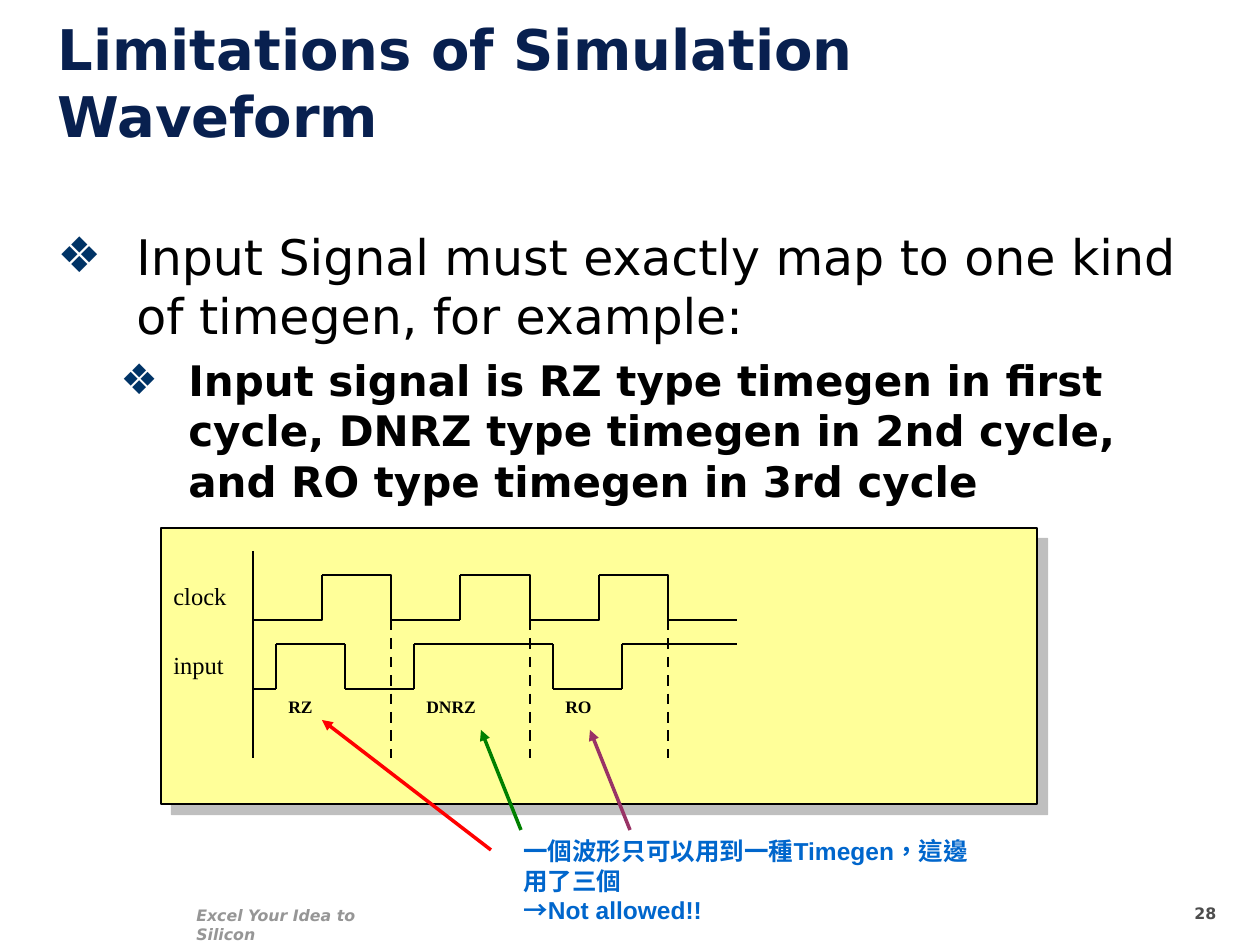
from dataclasses import dataclass
from itertools import pairwise
from typing import Optional

from lxml.etree import SubElement
from pptx import Presentation
from pptx.dml.color import RGBColor
from pptx.enum.dml import MSO_LINE
from pptx.enum.lang import MSO_LANGUAGE_ID
from pptx.enum.shapes import MSO_CONNECTOR, MSO_SHAPE
from pptx.enum.text import MSO_ANCHOR
from pptx.oxml.ns import qn
from pptx.util import Pt

EMU_PER_PX = 914400 / 126


@dataclass(frozen=True)
class Theme:
    sans: str = "DejaVu Sans"
    serif: str = "Times New Roman"
    note_font: str = "Arial"
    title: str = "08204F"
    ink: str = "000000"
    bullet: str = "003366"
    panel: str = "FFFF99"
    shadow: str = "808080"
    note: str = "0066CC"
    footer: str = "969696"
    number: str = "4D4D4D"
    title_size: int = 32
    body_size: int = 28
    detail_size: int = 24
    label_size: int = 14
    cycle_size: int = 10
    footer_size: int = 9
    wave_width: float = 1.5
    arrow_width: float = 2


@dataclass(frozen=True)
class Node:
    step: int
    level: int
    bend: Optional[int] = None


@dataclass(frozen=True)
class Wave:
    name: str
    high: int
    low: int
    nodes: tuple[Node, ...]


@dataclass(frozen=True)
class Arrow:
    start: tuple[int, int]
    end: tuple[int, int]
    color: str


THEME = Theme()
ORIGIN, SPAN = 253, 484
LAST_STEP, CYCLE_STEPS = 21, 6
AXIS = (551, 620, 689, 758)
LABEL_SIZE = (138, 69)

WAVES = [
    Wave("clock", 575, 620, (
        Node(0, 0), Node(3, 1, 100), Node(9, 0, 50), Node(9, 1),
        Node(12, 0, 100), Node(15, 1, 100), Node(21, 0, 50))),
    Wave("input", 644, 689, (
        Node(0, 0), Node(1, 0), Node(1, 1), Node(4, 1), Node(4, 0), Node(6, 0), Node(7, 0),
        Node(7, 1), Node(13, 1), Node(13, 0), Node(16, 0), Node(16, 1), Node(21, 1))),
]
CYCLES = ["RZ", "DNRZ", "RO"]
ARROWS = [
    Arrow((491, 850), (322, 720), "FF0000"),
    Arrow((521, 830), (481, 730), "008000"),
    Arrow((630, 830), (590, 730), "993366"),
]


def px(length: int) -> int:
    return round(length * EMU_PER_PX)


def step_x(step: int) -> int:
    return ORIGIN + round(step * SPAN / LAST_STEP)


def add_box(slide, left: int, top: int, width: int, height: int, anchor=MSO_ANCHOR.TOP):
    box = slide.shapes.add_textbox(px(left), px(top), px(width), px(height))
    box.text_frame.word_wrap = True
    box.text_frame.vertical_anchor = anchor
    return box.text_frame


def write(para, text: str, *, size: int, color: str, font: str = THEME.sans,
          bold: bool = False, italic: bool = False,
          language: MSO_LANGUAGE_ID = MSO_LANGUAGE_ID.ENGLISH_US) -> None:
    for index, line in enumerate(text.split("\n")):
        if index:
            para.add_line_break()
        span = para.add_run()
        span.text = line
        span.font.name = font
        span.font.size = Pt(size)
        span.font.bold = bold
        span.font.italic = italic
        span.font.language_id = language
        span.font.color.rgb = RGBColor.from_string(color)


def add_bullet(para, margin: int, hanging: int) -> None:
    properties = para._p.get_or_add_pPr()
    properties.set("marL", str(px(margin)))
    properties.set("indent", str(-px(hanging)))
    color = SubElement(properties, qn("a:buClr"))
    SubElement(color, qn("a:srgbClr"), val=THEME.bullet)
    SubElement(properties, qn("a:buFont"), typeface=THEME.sans)
    SubElement(properties, qn("a:buChar"), char="❖")


def add_line(slide, start: tuple[int, int], end: tuple[int, int], *, color: str = THEME.ink,
             width: float = THEME.wave_width, dashed: bool = False, arrow: bool = False,
             bend: Optional[int] = None) -> None:
    kind = MSO_CONNECTOR.STRAIGHT if bend is None else MSO_CONNECTOR.ELBOW
    connector = slide.shapes.add_connector(kind, *(px(value) for value in (*start, *end)))
    properties = connector._element.spPr
    if bend is not None:
        guides = properties.find(qn("a:prstGeom")).get_or_add_avLst()
        SubElement(guides, qn("a:gd"), name="adj1", fmla=f"val {bend * 1000}")
    connector.line.color.rgb = RGBColor.from_string(color)
    connector.line.width = Pt(width)
    if dashed:
        connector.line.dash_style = MSO_LINE.DASH
    if arrow:
        SubElement(connector.line._get_or_add_ln(), qn("a:tailEnd"), type="triangle")
    SubElement(properties, qn("a:effectLst"))


def add_panel(slide) -> None:
    panel = slide.shapes.add_shape(MSO_SHAPE.RECTANGLE, px(161), px(528), px(876), px(276))
    panel.fill.solid()
    panel.fill.fore_color.rgb = RGBColor.from_string(THEME.panel)
    panel.line.color.rgb = RGBColor.from_string(THEME.ink)
    panel.line.width = Pt(0.75)
    panel.shadow.inherit = False
    effects = panel._element.spPr.find(qn("a:effectLst"))
    shadow = SubElement(effects, qn("a:outerShdw"), dist=str(Pt(8.5)), dir="2700000")
    color = SubElement(shadow, qn("a:srgbClr"), val=THEME.shadow)
    SubElement(color, qn("a:alpha"), val="50000")


def add_wave(slide, wave: Wave) -> None:
    heights = (wave.low, wave.high)
    for start, end in pairwise(wave.nodes):
        add_line(slide, (step_x(start.step), heights[start.level]),
                 (step_x(end.step), heights[end.level]), bend=end.bend)
    label = add_box(slide, 161, wave.high, *LABEL_SIZE)
    write(label.paragraphs[0], wave.name, size=THEME.label_size, color=THEME.ink, font=THEME.serif)


def add_body(slide) -> None:
    body = add_box(slide, 45, 220, 1171, 624)
    first = body.paragraphs[0]
    add_bullet(first, 79, 79)
    write(first, "Input Signal must exactly map to one kind of timegen, for example:",
          size=THEME.body_size, color=THEME.ink)
    detail = body.add_paragraph()
    detail.level = 1
    detail.space_before = Pt(6)
    add_bullet(detail, 131, 68)
    write(detail, "Input signal is RZ type timegen in first cycle, DNRZ type timegen in 2nd cycle, "
          "and RO type timegen in 3rd cycle",
          size=THEME.detail_size, color=THEME.ink, bold=True)


def main() -> None:
    deck = Presentation()
    deck.slide_width, deck.slide_height = px(1260), px(945)
    page = deck.slides.add_slide(deck.slide_layouts[6])

    footer = add_box(page, 184, 900, 212, 32)
    write(footer.paragraphs[0], "Excel Your Idea to Silicon", size=THEME.footer_size,
          color=THEME.footer, bold=True, italic=True)
    number = add_box(page, 1182, 898, 73, 34)
    write(number.paragraphs[0], "28", size=THEME.footer_size, color=THEME.number, bold=True)
    title = add_box(page, 45, 35, 903, 120, MSO_ANCHOR.BOTTOM)
    write(title.paragraphs[0], "Limitations of Simulation Waveform", size=THEME.title_size,
          color=THEME.title, bold=True)
    add_body(page)

    add_panel(page)
    for top, bottom in pairwise(AXIS):
        add_line(page, (ORIGIN, top), (ORIGIN, bottom))
    for wave in WAVES:
        add_wave(page, wave)
    for index, name in enumerate(CYCLES):
        first_step = index * CYCLE_STEPS
        edge = step_x(first_step + CYCLE_STEPS)
        add_line(page, (edge, AXIS[1]), (edge, AXIS[-1]), dashed=True)
        label = add_box(page, step_x(first_step + 1), 690, *LABEL_SIZE)
        write(label.paragraphs[0], name, size=THEME.cycle_size, color=THEME.ink,
              font=THEME.serif, bold=True)

    note = add_box(page, 511, 830, 486, 101)
    write(note.paragraphs[0], "一個波形只可以用到一種Timegen，這邊用了三個\n→Not allowed!!",
          size=THEME.label_size, color=THEME.note, font=THEME.note_font, bold=True,
          language=MSO_LANGUAGE_ID.TAIWAN if hasattr(MSO_LANGUAGE_ID, "TAIWAN")
          else MSO_LANGUAGE_ID.TRADITIONAL_CHINESE)
    for arrow in ARROWS:
        add_line(page, arrow.start, arrow.end, color=arrow.color,
                 width=THEME.arrow_width, arrow=True)

    deck.save("out.pptx")


if __name__ == "__main__":
    main()
